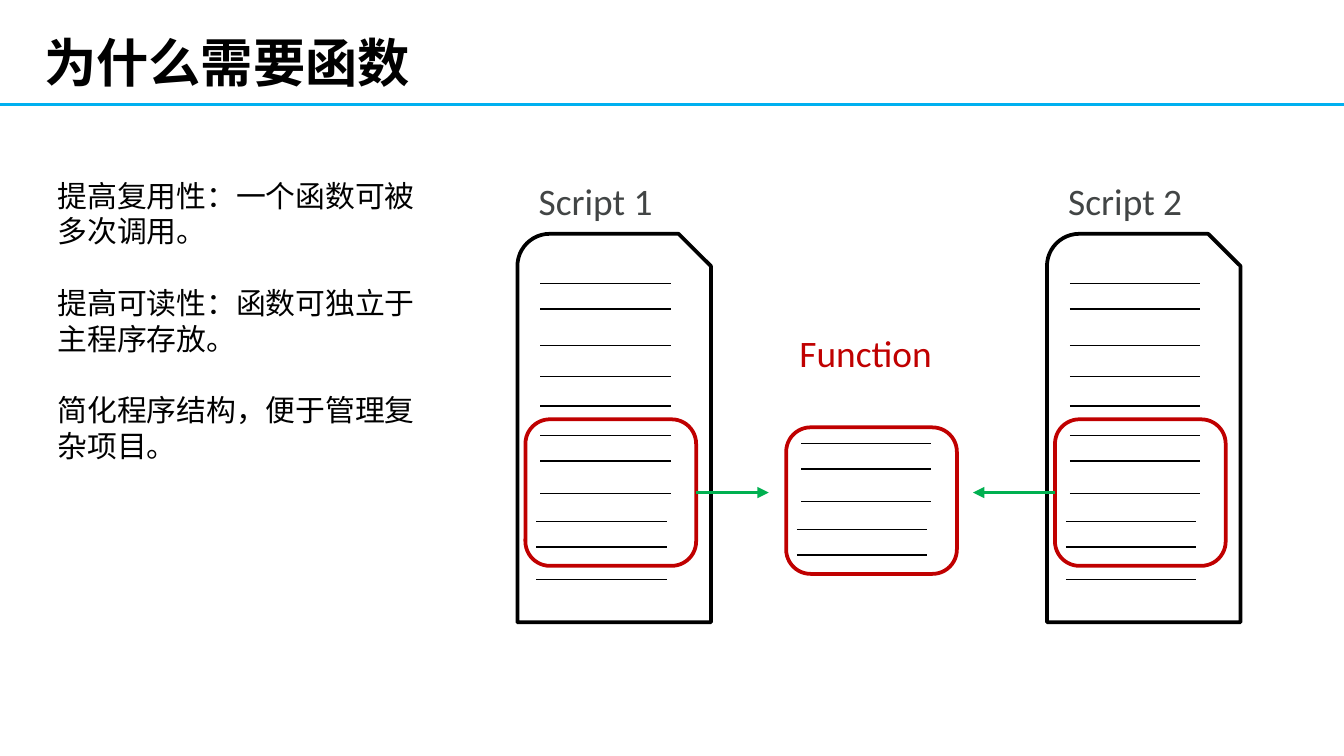
from lxml import etree
from pptx import Presentation
from pptx.dml.color import RGBColor
from pptx.enum.shapes import MSO_CONNECTOR, MSO_SHAPE
from pptx.enum.text import MSO_ANCHOR
from pptx.oxml.ns import qn
from pptx.util import Inches, Pt

STRAIGHT = MSO_CONNECTOR.STRAIGHT
SNIP = MSO_SHAPE.SNIP_ROUND_RECTANGLE
ROUND = MSO_SHAPE.ROUNDED_RECTANGLE
MIDDLE = MSO_ANCHOR.MIDDLE

BLACK, GRAY, RED = "000000", "424545", "C00000"
GREEN, BLUE = "00B050", "00B0F0"
RULE = 0.97
BOX_W, BOX_H = 1.27, 1.09
HEAD_ROWS = (0.37, 0.56, 0.83, 1.06, 1.28)
CODE_ROWS = ((0.11, 0.12), (0.11, 0.31), (0.11, 0.55), (0.08, 0.76), (0.08, 0.95))
REASONS = (
    "提高复用性：一个函数可被多次调用。",
    "提高可读性：函数可独立于主程序存放。",
    "简化程序结构，便于管理复杂项目。",
)


def color(code):
    return RGBColor.from_string(code)


def add_line(slide, x1, y1, x2, y2, code=BLACK, width=0.75):
    line = slide.shapes.add_connector(
        STRAIGHT, Inches(x1), Inches(y1), Inches(x2), Inches(y2))
    line.line.color.rgb = color(code)
    line.line.width = Pt(width)
    etree.SubElement(line._element.spPr, qn("a:effectLst"))
    return line


def add_frame(slide, kind, x, y, w, h, code):
    frame = slide.shapes.add_shape(kind, Inches(x), Inches(y), Inches(w), Inches(h))
    frame.shadow.inherit = False
    frame.fill.background()
    frame.line.color.rgb = color(code)
    frame.line.width = Pt(2)
    return frame


def add_text(slide, x, y, w, h, lines, size, code, wrap=True, bold=False):
    box = slide.shapes.add_textbox(Inches(x), Inches(y), Inches(w), Inches(h))
    frame = box.text_frame
    frame.word_wrap = wrap
    frame.text = "\n".join(lines)
    for para in frame.paragraphs:
        for run in para.runs:
            run.font.name = "Calibri"
            run.font.size = Pt(size)
            run.font.bold = bold
            run.font.color.rgb = color(code)
    return frame


def add_title(slide, x, y, w, h):
    add_line(slide, 0, y + 0.51, 10, y + 0.51, BLUE, 1.5)
    frame = add_text(slide, x, y, w, h, ["为什么需要函数"], 28, BLACK, bold=True)
    frame.margin_left = frame.margin_right = 0
    frame.margin_top = frame.margin_bottom = 0
    frame.vertical_anchor = MIDDLE
    frame.paragraphs[0].line_spacing = 0.9


def add_reasons(slide, x, y, w, h):
    frame = add_text(slide, x, y, w, h, REASONS, 16, BLACK)
    for para in frame.paragraphs[1:]:
        para.space_before = Pt(19)


def add_block(slide, x, y):
    for dx, dy in CODE_ROWS:
        add_line(slide, x + dx, y + dy, x + dx + RULE, y + dy)
    return add_frame(slide, ROUND, x, y, BOX_W, BOX_H, RED)


def add_script(slide, x, y, w, h, name):
    add_frame(slide, SNIP, x, y, w, h, BLACK)
    for dy in HEAD_ROWS:
        add_line(slide, x + 0.17, y + dy, x + 0.17 + RULE, y + dy)
    add_line(slide, x + 0.14, y + 2.57, x + 0.14 + RULE, y + 2.57)
    add_text(slide, x + 0.06, y - 0.46, 1.06, 0.44, [name], 20, GRAY, wrap=False)
    return add_block(slide, x + 0.06, y + 1.38)


def add_arrow(slide, block, side, x1, x2, y):
    arrow = add_line(slide, x1, y, x2, y, GREEN, 2)
    arrow.begin_connect(block, side)
    stroke = arrow._element.spPr.find(qn("a:ln"))
    etree.SubElement(stroke, qn("a:tailEnd"), type="triangle")


def add_diagram(slide, x, y):
    left = add_script(slide, x, y, 1.44, 2.89, "Script 1")
    right = add_script(slide, x + 3.94, y, 1.44, 2.89, "Script 2")
    add_block(slide, x + 2, y + 1.44)
    add_text(slide, x + 2, y + 0.67, 1.2, 0.44, ["Function"], 20, RED, wrap=False)
    mid = y + 1.38 + BOX_H / 2
    add_arrow(slide, left, 3, x + 0.06 + BOX_W, x + 1.87, mid)
    add_arrow(slide, right, 1, x + 4, x + 3.39, mid)


def main():
    deck = Presentation()
    deck.slide_width = Inches(10)
    deck.slide_height = Inches(10) * 9 // 16
    slide = deck.slides.add_slide(deck.slide_layouts[6])
    add_title(slide, 0.33, 0.27, 8.25, 0.44)
    add_diagram(slide, 3.85, 1.74)
    add_reasons(slide, 0.33, 1.27, 2.88, 2.26)
    deck.save("out.pptx")


if __name__ == "__main__":
    main()
